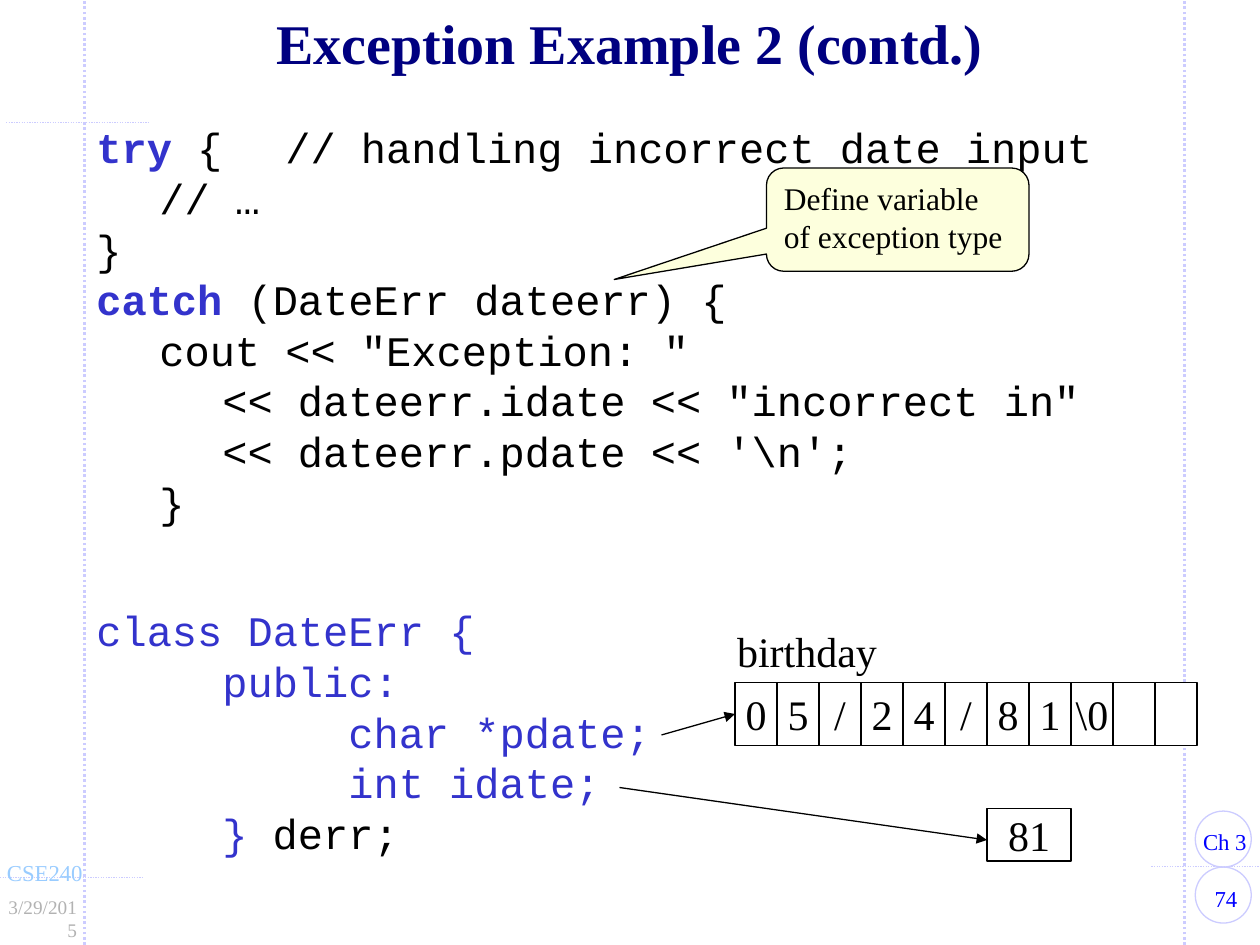
"""Build a lecture slide on catching a DateErr exception in C++."""
from lxml import etree
from pptx import Presentation
from pptx.dml.color import RGBColor
from pptx.enum.dml import MSO_LINE
from pptx.enum.shapes import MSO_CONNECTOR, MSO_SHAPE
from pptx.enum.text import MSO_ANCHOR, MSO_AUTO_SIZE, PP_ALIGN
from pptx.oxml.ns import qn
from pptx.util import Pt

LEFT, CENTER, RIGHT = PP_ALIGN.LEFT, PP_ALIGN.CENTER, PP_ALIGN.RIGHT
TOP, MIDDLE = MSO_ANCHOR.TOP, MSO_ANCHOR.MIDDLE
STRAIGHT = MSO_CONNECTOR.STRAIGHT
DOTTED = MSO_LINE.ROUND_DOT
SERIF, MONO = "Times New Roman", "Courier New"
COLORS = {
    "title": "000080", "keyword": "3333CC", "ink": "000000", "rule": "CCCCFF",
    "course": "99CCFF", "date": "B2B2B2", "number": "0000FF",
    "cell": "FFFFFF", "callout": "FDFFDD",
}


def add_span(para, text, size, color, font=SERIF, bold=False):
    span = para.add_run()
    span.text = text
    span.font.name = font
    span.font.size = Pt(size)
    span.font.bold = bold
    span.font.color.rgb = RGBColor.from_string(COLORS[color])


def add_line(start, end, color, width):
    line = page.shapes.add_connector(STRAIGHT, *map(Pt, start + end))
    line.line.color.rgb = RGBColor.from_string(COLORS[color])
    line.line.width = Pt(width)
    etree.SubElement(line._element.spPr, qn("a:effectLst"))
    return line


deck = Presentation()
deck.slide_width, deck.slide_height = Pt(720), Pt(540)
page = deck.slides.add_slide(deck.slide_layouts[5])

title = page.shapes.title
title.left, title.top, title.width, title.height = Pt(52.5), Pt(6), Pt(615), Pt(42)
title.text_frame.auto_size = MSO_AUTO_SIZE.NONE
title.text_frame.vertical_anchor = MIDDLE
para = title.text_frame.paragraphs[0]
para.alignment = CENTER
para.line_spacing = 0.85
add_span(para, "Exception Example 2 (contd.)", 32, "title", bold=True)

for start, end, width in [
    ((48.3, 540), (48.3, 0), 1.5),
    ((677, 540), (677, 0), 1.5),
    ((0, 501.5), (82.5, 501.5), 0.75),
    ((658, 495), (723.5, 495), 0.75),
    ((3.5, 70), (86, 70), 0.75),
]:
    add_line(start, end, "rule", width).line.dash_style = DOTTED

for top in (463.5, 495.5):
    circle = page.shapes.add_shape(MSO_SHAPE.OVAL, Pt(683), Pt(top), Pt(32), Pt(32))
    circle.shadow.inherit = False
    circle.fill.background()
    circle.line.color.rgb = RGBColor.from_string(COLORS["rule"])
    circle.line.width = Pt(0.75)

for text, left, top, width, height, size, color, align, margin in [
    ("74", 679.5, 502, 42, 23, 13, "number", CENTER, 8),
    ("Ch 3", 679.5, 469.5, 40.5, 23, 13, "number", LEFT, 0),
    ("CSE240", -4, 487, 58.5, 23, 13, "course", LEFT, 0),
    ("3/29/2015", -8, 508, 60, 21, 11, "date", RIGHT, 8),
    ("birthday", 413.2, 354, 94.5, 36, 24, "ink", LEFT, 0),
]:
    box = page.shapes.add_textbox(Pt(left), Pt(top), Pt(width), Pt(height))
    box.text_frame.word_wrap = True
    box.text_frame.margin_left = Pt(8)
    box.text_frame.margin_right = Pt(margin)
    para = box.text_frame.paragraphs[0]
    para.alignment = align
    add_span(para, text, size, color)

CATCH_CODE = [
    [("try", "keyword", True), (" {\t// handling incorrect date input", "ink", False)],
    [("\t// …", "ink", False)],
    [("}", "ink", False)],
    [("catch", "keyword", True), (" (DateErr dateerr) {", "ink", False)],
    [("\tcout << \"Exception: \"", "ink", False)],
    [("\t\t<< dateerr.idate << \"incorrect in\"", "ink", False)],
    [("\t\t<< dateerr.pdate << '\\n';", "ink", False)],
    [("\t}", "ink", False)],
]
CLASS_CODE = [
    [("class DateErr {", "keyword", False)],
    [("\tpublic:", "keyword", False)],
    [("\t\tchar *pdate;", "keyword", False)],
    [("\t\tint idate;", "keyword", False)],
    [("\t}", "keyword", False), (" derr;", "ink", False)],
]
for code, top, width, height, tab in [
    (CATCH_CODE, 66, 648, 238, 36),
    (CLASS_CODE, 342, 360, 151, 72),
]:
    box = page.shapes.add_textbox(Pt(48), Pt(top), Pt(width), Pt(height))
    box.text_frame.word_wrap = True
    for index, line in enumerate(code):
        para = box.text_frame.paragraphs[0] if index == 0 else box.text_frame.add_paragraph()
        para.line_spacing = Pt(28.9)
        stops = etree.SubElement(para._p.get_or_add_pPr(), qn("a:tabLst"))
        for step in (1, 2) if index else (3,):
            etree.SubElement(stops, qn("a:tab"), pos=str(Pt(tab * step)), algn="l")
        for text, color, bold in line:
            add_span(para, text, 24, color, MONO, bold)

birthday = ["0", "5", "/", "2", "4", "/", "8", "1", "\\0", "", ""]
cells = [(text, 420 + 24 * index, 390, 24, 36) for index, text in enumerate(birthday)]
boxes = []
for text, left, top, width, height in cells + [("81", 564, 462, 48, 30)]:
    cell = page.shapes.add_shape(MSO_SHAPE.RECTANGLE, Pt(left), Pt(top), Pt(width), Pt(height))
    cell.shadow.inherit = False
    cell.fill.solid()
    cell.fill.fore_color.rgb = RGBColor.from_string(COLORS["cell"])
    cell.line.color.rgb = RGBColor.from_string(COLORS["ink"])
    cell.line.width = Pt(0.75)
    boxes.append(cell)
    if text:
        cell.text_frame.word_wrap = False
        cell.text_frame.vertical_anchor = MIDDLE
        para = cell.text_frame.paragraphs[0]
        para.alignment = CENTER
        add_span(para, text, 24, "ink")

pdate_arrow = add_line((378, 420), (420, 408), "ink", 0.75)
pdate_arrow.end_connect(boxes[0], 1)
idate_arrow = add_line((354, 450), (564, 480), "ink", 0.75)
for arrow in (pdate_arrow, idate_arrow):
    etree.SubElement(arrow.line._get_or_add_ln(), qn("a:tailEnd"), type="triangle")

callout = page.shapes.add_shape(
    MSO_SHAPE.ROUNDED_RECTANGULAR_CALLOUT, Pt(438), Pt(96), Pt(150), Pt(59))
callout.adjustments[0], callout.adjustments[1] = -1.08, 0.58
callout.shadow.inherit = False
callout.fill.solid()
callout.fill.fore_color.rgb = RGBColor.from_string(COLORS["callout"])
callout.line.color.rgb = RGBColor.from_string(COLORS["ink"])
callout.line.width = Pt(0.75)
callout.text_frame.word_wrap = True
callout.text_frame.vertical_anchor = TOP
para = callout.text_frame.paragraphs[0]
para.alignment = LEFT
add_span(para, "Define variable of exception type", 18, "ink")

deck.save("out.pptx")
